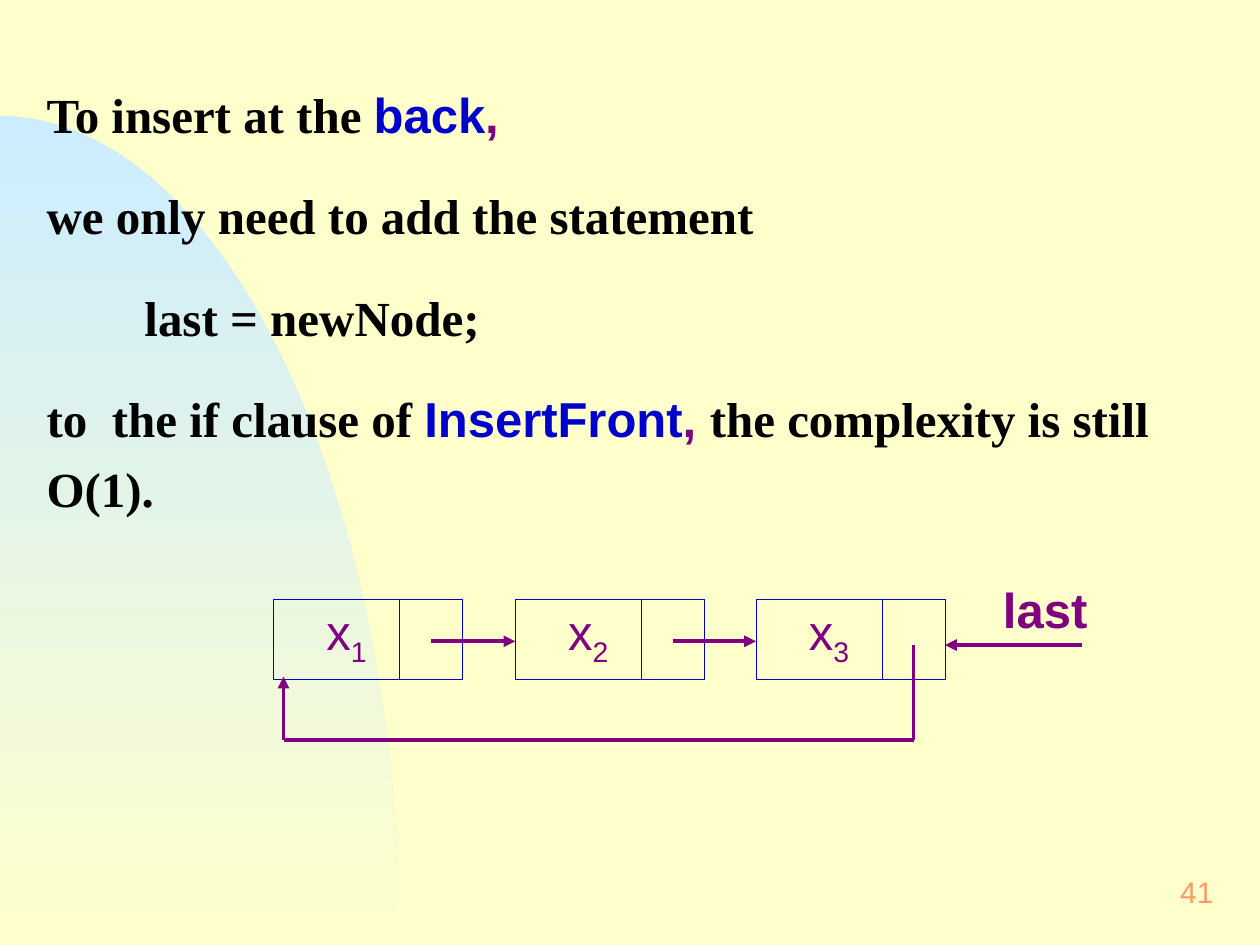
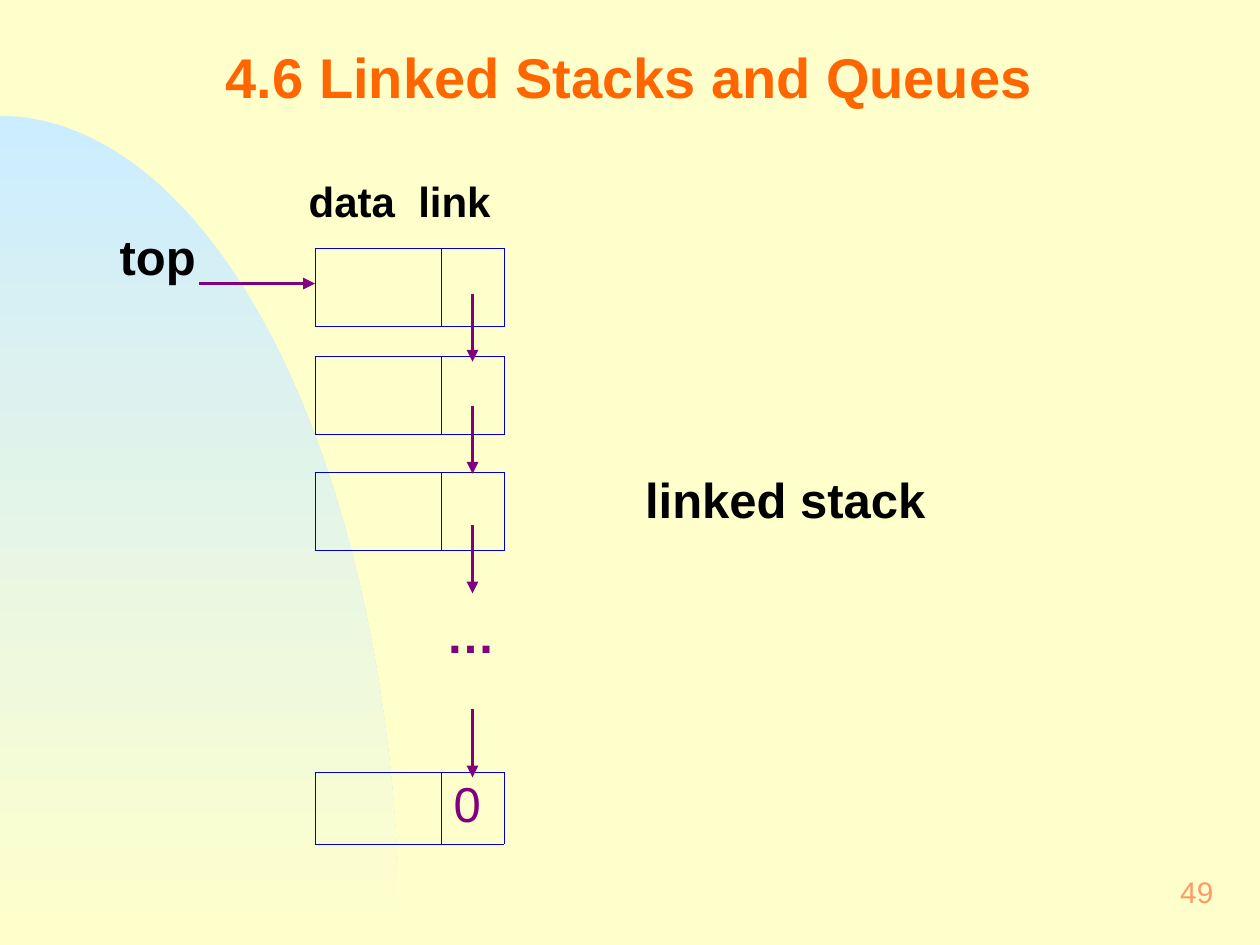
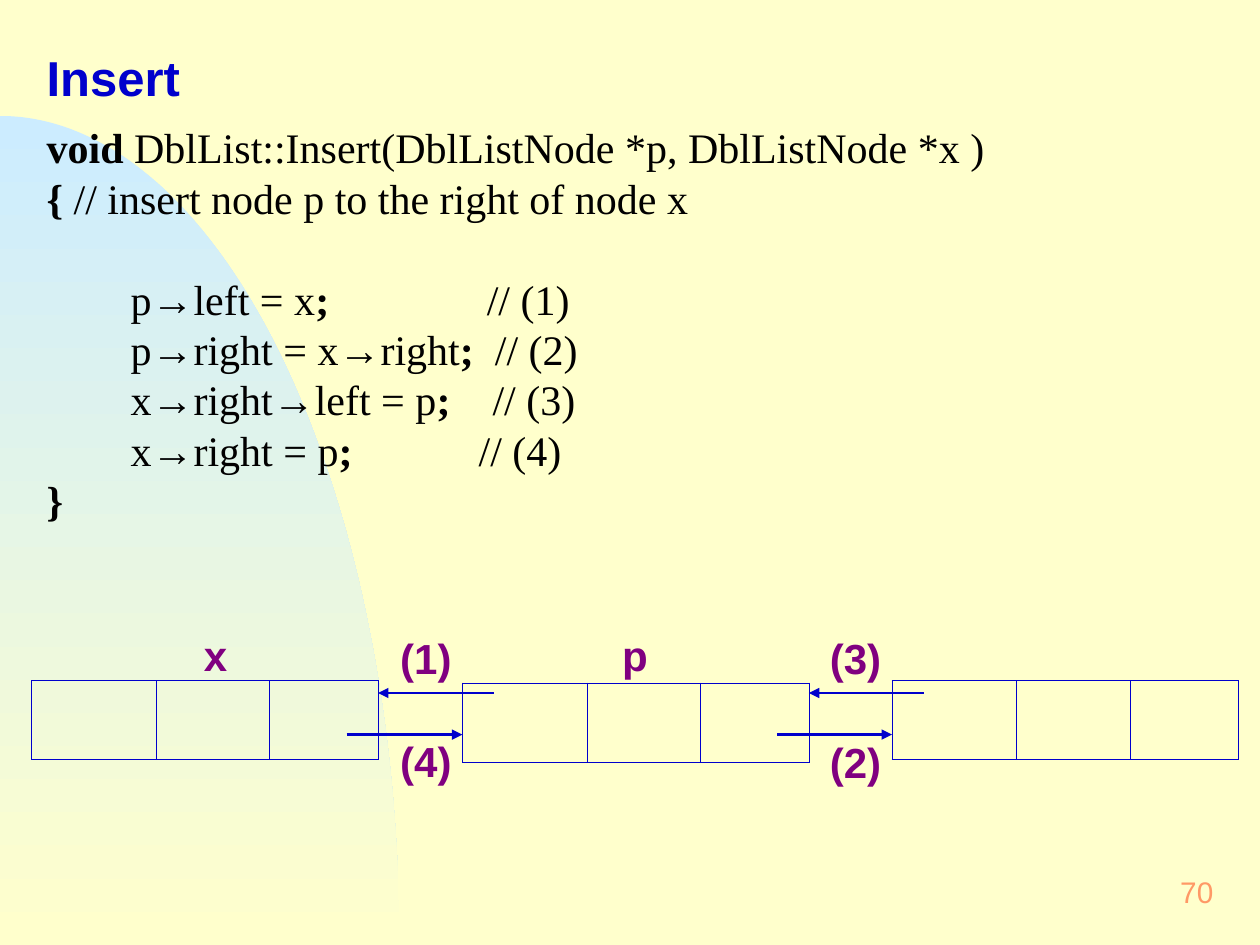
"""Build three slides on linked lists, linked stacks and doubly linked lists."""
from math import cos, pi, sin

from lxml import etree
from pptx import Presentation
from pptx.dml.color import RGBColor
from pptx.enum.shapes import MSO_CONNECTOR
from pptx.enum.text import MSO_ANCHOR, PP_ALIGN
from pptx.oxml.ns import qn
from pptx.util import Inches, Pt

STRAIGHT = MSO_CONNECTOR.STRAIGHT
LEFT, CENTER, RIGHT = PP_ALIGN.LEFT, PP_ALIGN.CENTER, PP_ALIGN.RIGHT
TOP, MIDDLE = MSO_ANCHOR.TOP, MSO_ANCHOR.MIDDLE

WIDTH, HEIGHT = 10, 7.5
CREAM, SKY, INK, BLUE, PURPLE = "FFFFCC", "CCECFF", "010000", "0000CC", "800080"
SANS, SERIF = "Arial", "Times New Roman"
CURVE_WIDTH, CURVE_HEIGHT, CURVE_STEPS = 3.17, 6.58, 90

STYLES = {
    "number": (SANS, 17, "FF9966", False),
    "title": (SANS, 32, "FF6600", True),
    "prose": (SERIF, 28, INK, True),
    "term": (SANS, 28, BLUE, True),
    "mark": (SANS, 28, PURPLE, True),
    "value": (SANS, 28, PURPLE, False),
    "subscript": (SANS, 28, PURPLE, False),
    "caption": (SANS, 28, INK, True),
    "field": (SANS, 24, INK, True),
    "label": (SANS, 24, PURPLE, True),
    "code": (SERIF, 24, INK, False),
    "keyword": (SERIF, 24, INK, True),
}

BACK_TEXT = [
    [("To insert at the ", "prose"), ("back", "term"), (",", "mark")],
    [("we only need to add the statement", "prose")],
    [("        last = newNode;", "prose")],
    [("to  the if clause of ", "prose"), ("InsertFront", "term"), (", ", "mark"),
     ("the complexity is still O(1).", "prose")],
]
LIST_LEFTS = [2.17, 4.09, 6]
LIST_TOP, LIST_HEIGHT = 4.76, 0.63
LAST_POINTER = (8.59, 5.12, 7.5, 5.12)
LOOP = [(7.25, 5.12), (7.25, 5.87), (2.25, 5.87), (2.25, 5.37)]

NODE_COLUMNS = [1, 0.5]
STACK_LEFT = 2.5
STACK_NODES = [(1.97, 0.62, ""), (2.83, 0.62, ""), (3.75, 0.62, ""), (6.13, 0.57, "0")]
STACK_LINK_TOPS = [2.33, 3.22, 4.17, 5.63]
STACK_LABELS = [
    ("top", "caption", 0.83, 1.74, 1.08, 0.59),
    ("data  link", "field", 2.33, 1.33, 1.92, 0.52),
    ("…", "mark", 3.42, 4.74, 0.75, 0.59),
    ("linked stack", "caption", 5, 3.67, 2.75, 0.59),
]

INSERT_HEAD = [
    [("Insert", "term")],
    [("void", "keyword"), (" DblList::Insert(DblListNode *p, DblListNode *x )", "code")],
    [("{", "keyword"), (" // insert node p to the right of node x", "code")],
]
INSERT_STEPS = [
    ("p→left = x", ";               ", "// (1)"),
    ("p→right = x→right", ";  ", "// (2)"),
    ("x→right→left = p", ";    ", "// (3)"),
    ("x→right = p", ";            ", "// (4)"),
]
DOUBLE_COLUMNS = [0.99, 0.9, 0.86]
DOUBLE_NODES = [(0.25, 5.4), (3.67, 5.42), (7.08, 5.4)]
DOUBLE_LABELS = [("x", 1.25, 4.98), ("p", 4.58, 4.98), ("(1)", 2.92, 5),
                 ("(3)", 6.33, 5), ("(4)", 2.92, 5.82), ("(2)", 6.33, 5.83)]
DOUBLE_LINKS = [(3.92, 5.5, 3, 5.5), (7.33, 5.5, 6.42, 5.5),
                (2.75, 5.83, 3.67, 5.83), (6.17, 5.83, 7.08, 5.83)]


def rgb(value):
    return RGBColor.from_string(value)


def fill_paragraph(para, spans, align=LEFT, line=None, before=0):
    para.alignment = align
    para.space_before = Pt(before)
    if line:
        para.line_spacing = line
    for text, style in spans:
        span = para.add_run()
        span.text = text
        span.font.name, size, colour, span.font.bold = STYLES[style]
        span.font.size = Pt(size)
        span.font.color.rgb = rgb(colour)
        if style == "subscript":
            span.font._element.set("baseline", "-25000")


def add_text(page, area, paragraphs, align=LEFT, anchor=TOP, layout=None):
    """Layout gives a (line spacing, space before) pair for each paragraph."""
    box = page.shapes.add_textbox(*map(Inches, area))
    frame = box.text_frame
    frame.word_wrap = True
    frame.vertical_anchor = anchor
    frame.margin_left = frame.margin_right = Inches(0.12)
    frame.margin_top = frame.margin_bottom = Inches(0.06)
    for index, spans in enumerate(paragraphs):
        para = frame.add_paragraph() if index else frame.paragraphs[0]
        line, before = layout[index] if layout else (None, 0)
        fill_paragraph(para, spans, align, line, before)


def set_borders(cell, colour):
    properties = cell._tc.get_or_add_tcPr()
    for index, side in enumerate(("lnL", "lnR", "lnT", "lnB")):
        border = etree.Element(qn("a:" + side), w=str(Pt(0.45)))
        if colour:
            solid = etree.SubElement(border, qn("a:solidFill"))
            etree.SubElement(solid, qn("a:srgbClr"), val=colour)
        else:
            etree.SubElement(border, qn("a:noFill"))
        properties.insert(index, border)


def add_row(page, left, top, height, columns, contents=(), border=BLUE, align=LEFT, indent=0):
    """Contents maps onto the cells from the left, one list of spans each."""
    area = map(Inches, (left, top, sum(columns), height))
    table = page.shapes.add_table(1, len(columns), *area).table
    table.first_row = table.horz_banding = False
    for index, width in enumerate(columns):
        table.columns[index].width = Inches(width)
        cell = table.cell(0, index)
        cell.fill.background()
        set_borders(cell, border)
        if index < len(contents):
            cell.margin_left = Inches(0.1 + indent)
            fill_paragraph(cell.text_frame.paragraphs[0], contents[index], align)


def add_line(page, ends, colour=PURPLE, weight=2.25, arrow=True):
    line = page.shapes.add_connector(STRAIGHT, *map(Inches, ends))
    line.line.color.rgb = rgb(colour)
    line.line.width = Pt(weight)
    if arrow:
        etree.SubElement(line.line._get_or_add_ln(), qn("a:tailEnd"), type="triangle")
    etree.SubElement(line._element.spPr, qn("a:effectLst"))


def add_curve(page):
    angles = [pi / 2 * step / CURVE_STEPS for step in range(CURVE_STEPS + 1)]
    points = [(Inches(CURVE_WIDTH * sin(angle)), Inches(HEIGHT - CURVE_HEIGHT * cos(angle)))
              for angle in angles]
    builder = page.shapes.build_freeform(*points[0])
    builder.add_line_segments(points[1:] + [(0, Inches(HEIGHT))])
    curve = builder.convert_to_shape()
    curve.shadow.inherit = False
    curve.line.fill.background()
    curve.fill.gradient()
    curve.fill.gradient_angle = 270
    for stop, colour in zip(curve.fill.gradient_stops, (SKY, CREAM)):
        stop.color.rgb = rgb(colour)


def add_page(deck, number):
    page = deck.slides.add_slide(deck.slide_layouts[6])
    page.background.fill.solid()
    page.background.fill.fore_color.rgb = rgb(CREAM)
    add_curve(page)
    add_text(page, (7.67, 6.83, 2.08, 0.5), [[(number, "number")]], RIGHT, MIDDLE)
    return page


def build_insert_back(deck):
    page = add_page(deck, "41")
    layout = [(1.2, 17.5 if index else 0) for index in range(len(BACK_TEXT))]
    add_text(page, (0.25, 0.52, 9.58, 3.65), BACK_TEXT, layout=layout)
    for index, left in enumerate(LIST_LEFTS, 1):
        value = [("x", "value"), (str(index), "subscript")]
        add_row(page, left, LIST_TOP, LIST_HEIGHT, NODE_COLUMNS, [value], indent=0.32)
    for left, following in zip(LIST_LEFTS, LIST_LEFTS[1:]):
        add_line(page, (left + 1.25, 5.09, following, 5.09))
    add_line(page, LAST_POINTER)
    add_text(page, (7.84, 4.54, 1.08, 0.59), [[("last", "mark")]])
    for start, end in zip(LOOP, LOOP[1:]):
        add_line(page, start + end, arrow=end == LOOP[-1])


def build_linked_stack(deck):
    page = add_page(deck, "49")
    add_text(page, (0.37, 0.13, 9.25, 1.08), [[("4.6 Linked Stacks and Queues", "title")]],
             CENTER, MIDDLE, [(0.7, 0)])
    for top, height, link in STACK_NODES:
        contents = [[], [(link, "value")]] if link else []
        add_row(page, STACK_LEFT, top, height, NODE_COLUMNS, contents)
    add_line(page, (1.58, 2.25, STACK_LEFT, 2.25))
    for top in STACK_LINK_TOPS:
        add_line(page, (3.75, top, 3.75, top + 0.54))
    for text, style, *area in STACK_LABELS:
        add_text(page, area, [[(text, style)]])


def build_double_insert(deck):
    page = add_page(deck, "70")
    steps = [[("        " + action, "code"), (end, "keyword"), (remark, "code")]
             for action, end, remark in INSERT_STEPS]
    lines = INSERT_HEAD + steps + [[("}", "keyword")]]
    layout = [(None, 0)] * len(lines)
    layout[0], layout[1], layout[len(INSERT_HEAD)] = (1.1, 0), (None, 9), (None, 28.8)
    add_text(page, (0.25, 0.27, 9.58, 3.96), lines, layout=layout)
    for left, top in DOUBLE_NODES:
        add_row(page, left, top, 0.63, DOUBLE_COLUMNS)
    for text, left, top in DOUBLE_LABELS:
        add_row(page, left, top, 0.52, [0.92], [[(text, "label")]], None, CENTER)
    for ends in DOUBLE_LINKS:
        add_line(page, ends, BLUE, 1.5)


def main():
    deck = Presentation()
    deck.slide_width, deck.slide_height = Inches(WIDTH), Inches(HEIGHT)
    build_insert_back(deck)
    build_linked_stack(deck)
    build_double_insert(deck)
    deck.save("out.pptx")


if __name__ == "__main__":
    main()
